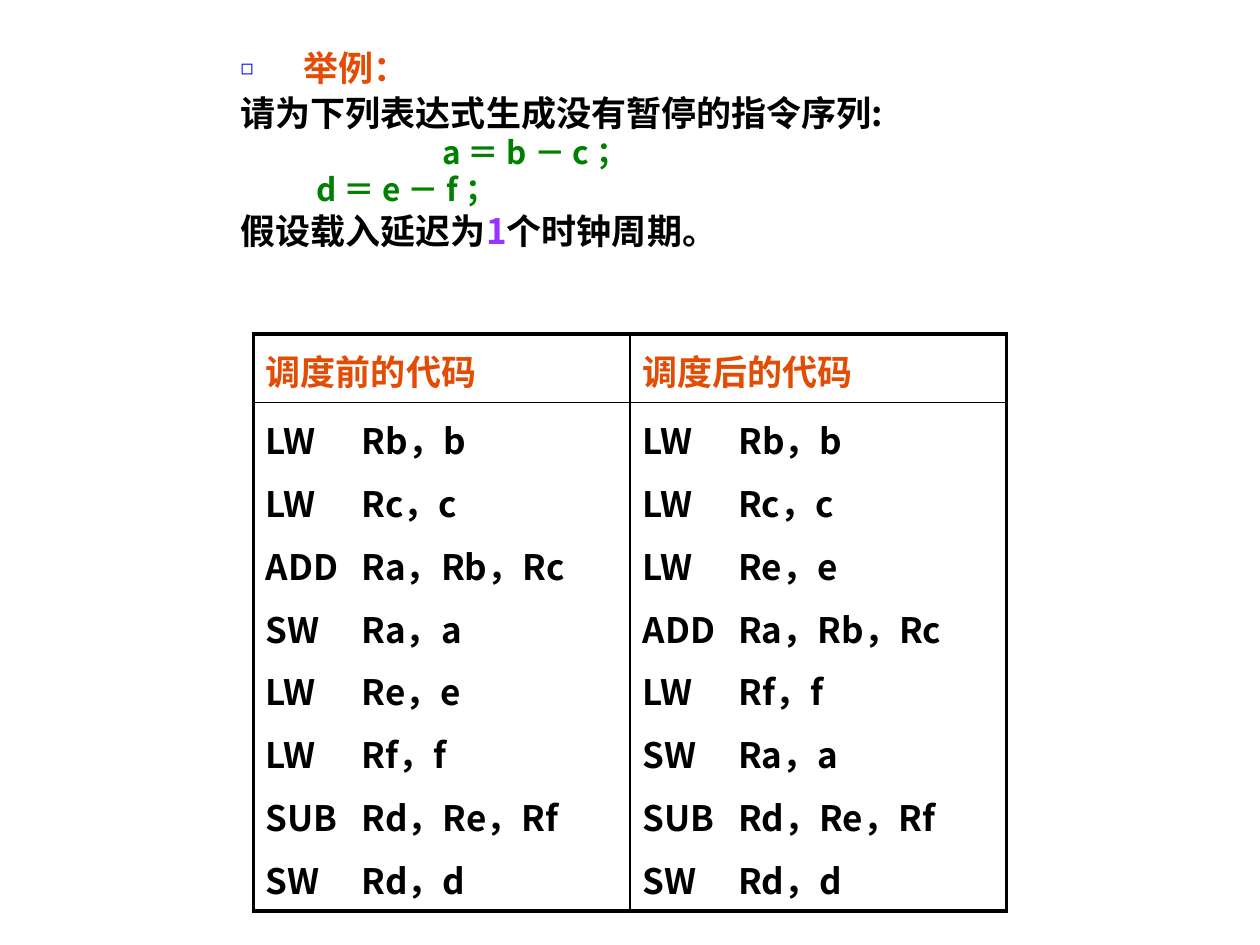
import pptx
import pptx.util
import pptx.dml.color
import pptx.enum.text
import pptx.oxml.ns
import lxml.etree

Inches, Pt = pptx.util.Inches, pptx.util.Pt
RGB = pptx.dml.color.RGBColor.from_string

THEME = {
    "font": "Noto Sans CJK SC",
    "heading": "E24C05",
    "text": "000000",
    "formula": "008000",
    "number": "9933FF",
    "bullet": "0000FF",
    "text_size": 20,
    "formula_size": 18,
    "outer_line": 2.25,
    "inner_line": 1,
}


def add_node(parent, tag, **attributes):
    """Append a DrawingML element and return it."""
    node = lxml.etree.SubElement(parent, pptx.oxml.ns.qn("a:" + tag))
    for name, value in attributes.items():
        node.set(name, str(value))
    return node


def style_paragraph(para, color, size, line_spacing):
    """Set the font and spacing of a whole paragraph."""
    para.line_spacing = line_spacing
    para.space_before = Pt(size * 0.2)
    para.font.size = Pt(size)
    para.font.bold = True
    para.font.name = THEME["font"]
    para.font.color.rgb = RGB(THEME[color])
    add_node(para.font._element, "ea", typeface=THEME["font"])


deck = pptx.Presentation()
deck.slide_width, deck.slide_height = Inches(10), Inches(7.5)
page = deck.slides.add_slide(deck.slide_layouts[1])
title = page.shapes.title
title._element.getparent().remove(title._element)

# Example statement: runs, level, left margin, first-line indent, colour, size, line spacing
body = page.placeholders[1]
body.left, body.top, body.width, body.height = map(Inches, (0.43, 0.36, 8.5, 2.13))
frame = body.text_frame
frame.word_wrap = True
frame.auto_size = pptx.enum.text.MSO_AUTO_SIZE.NONE
frame.vertical_anchor = pptx.enum.text.MSO_ANCHOR.TOP

statement = [
    (["举例："], 2, 1.88, -0.5, "heading", "text_size", 0.9),
    (["请为下列表达式生成没有暂停的指令序列:"], 2, 1.38, 0, "text", "text_size", 0.9),
    (["a ＝ b － c ；"], 1, 2.98, 0, "formula", "formula_size", 0.8),
    (["d ＝ e － f ；"], 1, 1.98, 0, "formula", "formula_size", 0.8),
    (["假设载入延迟为", "1", "个时钟周期。"], 2, 1.38, 0, "text", "text_size", 0.9),
]
for index, (texts, level, margin, indent, color, size, spacing) in enumerate(statement):
    para = frame.paragraphs[0] if index == 0 else frame.add_paragraph()
    para.level = level
    para.alignment = pptx.enum.text.PP_ALIGN.LEFT
    for text in texts:
        span = para.add_run()
        span.text = text
        if text == "1":
            span.font.color.rgb = RGB(THEME["number"])
    style_paragraph(para, color, THEME[size], spacing)
    properties = para._p.get_or_add_pPr()
    properties.set("marL", str(Inches(margin)))
    properties.set("indent", str(Inches(indent)))
    if indent:
        bullet_color = add_node(properties, "buClr")
        add_node(bullet_color, "srgbClr", val=THEME["bullet"])
        bullet = [bullet_color, add_node(properties, "buSzPct", val=60000),
                  add_node(properties, "buChar", char="◻")]
    else:
        bullet = [add_node(properties, "buNone")]
    for node in bullet:
        para.font._element.addprevious(node)

# Code before and after scheduling
before = ["LW\tRb，b", "LW\tRc，c", "ADD\tRa，Rb，Rc", "SW\tRa，a",
          "LW\tRe，e", "LW\tRf，f", "SUB\tRd，Re，Rf", "SW\tRd，d"]
after = [before[step] for step in (0, 1, 4, 2, 5, 3, 6, 7)]
rows = [[["调度前的代码"], ["调度后的代码"]], [before, after]]

table = page.shapes.add_table(2, 2, Inches(2.01), Inches(2.65), Inches(5.98), Inches(3.56)).table
table.first_row = table.horz_banding = False
for row, height in zip(table.rows, (0.48, 3.08)):
    row.height = Inches(height)

for row_index, row in enumerate(rows):
    for column_index, lines in enumerate(row):
        cell = table.cell(row_index, column_index)
        for index, line in enumerate(lines):
            para = cell.text_frame.paragraphs[0] if index == 0 else cell.text_frame.add_paragraph()
            para.add_run().text = line
            style_paragraph(para, "text" if row_index else "heading", THEME["text_size"], 1.1)
            if "\t" in line:
                stops = add_node(para._p.get_or_add_pPr(), "tabLst")
                add_node(stops, "tab", pos=Inches(0.76), algn="l")
                para.font._element.addprevious(stops)
        cell_properties = cell._tc.get_or_add_tcPr()
        outer_sides = {"L": column_index == 0, "R": column_index == 1,
                       "T": row_index == 0, "B": row_index == 1}
        for side, outer in outer_sides.items():
            width = THEME["outer_line" if outer else "inner_line"]
            border = add_node(cell_properties, "ln" + side, w=Pt(width))
            add_node(add_node(border, "solidFill"), "srgbClr", val=THEME["text"])
        cell.fill.background()

deck.save("out.pptx")
